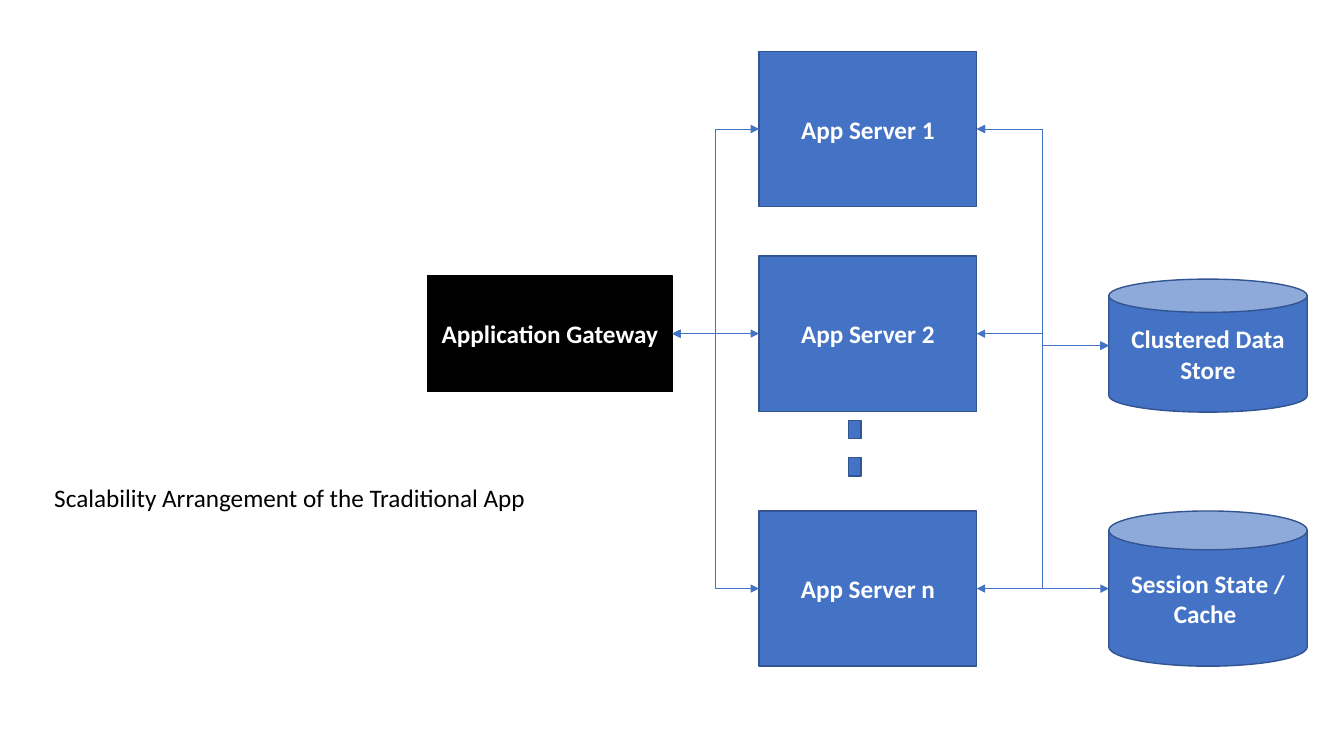
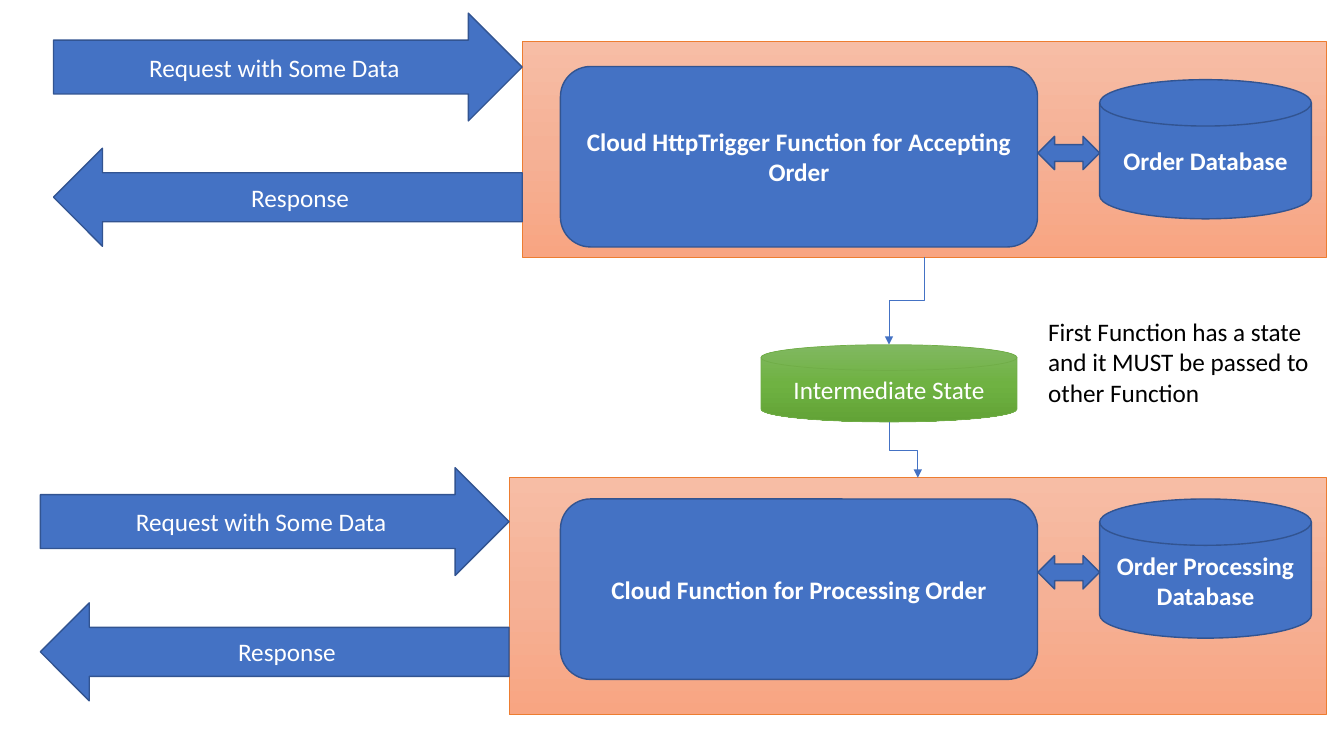
from copy import deepcopy
from dataclasses import dataclass
from itertools import product
from typing import Any

from lxml import etree
from pptx import Presentation
from pptx.dml.color import RGBColor
from pptx.enum.shapes import MSO_CONNECTOR, MSO_SHAPE
from pptx.enum.text import MSO_ANCHOR, PP_ALIGN
from pptx.oxml.ns import qn
from pptx.shapes.autoshape import Shape
from pptx.slide import Slide
from pptx.util import Pt

ELBOW = MSO_CONNECTOR.ELBOW
RECT = MSO_SHAPE.RECTANGLE
ROUNDED = MSO_SHAPE.ROUNDED_RECTANGLE
CAN = MSO_SHAPE.CAN
DISK = MSO_SHAPE.FLOWCHART_MAGNETIC_DISK
RIGHT_ARROW = MSO_SHAPE.RIGHT_ARROW
LEFT_ARROW = MSO_SHAPE.LEFT_ARROW
BOTH_ARROW = MSO_SHAPE.LEFT_RIGHT_ARROW
MIDDLE = MSO_ANCHOR.MIDDLE
TOP = MSO_ANCHOR.TOP
CENTER = PP_ALIGN.CENTER
LEFT = PP_ALIGN.LEFT

COLORS = {
    "blue": "4472C4",
    "navy": "325491",
    "black": "000000",
    "white": "FFFFFF",
    "orange": "ED7D31",
    "green": "70AD47",
}
GRADIENTS = {
    "peach": ("F7BDA5", "F5B196", "F8A582"),
    "leaf": ("81B861", "6FB242", "62A336"),
}
FONT_FORMAT = {"name": "Calibri", "size": Pt(18)}
BLANK_LAYOUT = 6

Point = tuple[float, float]


@dataclass(frozen=True)
class Box:
    left: float
    top: float
    width: float
    height: float

    @property
    def mid_left(self) -> Point:
        return self.left, self.top + self.height / 2

    @property
    def mid_right(self) -> Point:
        return self.left + self.width, self.top + self.height / 2

    @property
    def mid_top(self) -> Point:
        return self.left + self.width / 2, self.top

    @property
    def mid_bottom(self) -> Point:
        return self.left + self.width / 2, self.top + self.height

    def lengths(self) -> list[Pt]:
        return [Pt(v) for v in (self.left, self.top, self.width, self.height)]


@dataclass(frozen=True)
class Look:
    fill: str = "blue"
    outline: str = "navy"
    weight: float = 1
    bold: bool = True


@dataclass(frozen=True)
class Stage:
    panel: Box
    function: str
    function_top: float
    database: str
    database_top: float
    request_top: float


NODE = Look()
MESSAGE = Look(bold=False)
GATEWAY = Look("black", "black")
PANEL = Look("peach", "orange", 0.5)
STATE = Look("leaf", "green", 0.5, False)


def rgb(name: str) -> RGBColor:
    return RGBColor.from_string(COLORS[name])


def apply_format(target: Any, values: dict[str, Any]) -> None:
    for attribute, value in values.items():
        setattr(target, attribute, value)


def write_text(shape: Shape, text: str, color: str, bold: bool,
               align: PP_ALIGN, anchor: MSO_ANCHOR) -> None:
    frame = shape.text_frame
    apply_format(frame, {"word_wrap": True, "vertical_anchor": anchor})
    paragraph = frame.paragraphs[0]
    paragraph.alignment = align
    run = paragraph.add_run()
    run.text = text
    apply_format(run.font, FONT_FORMAT | {"bold": bold})
    run.font.color.rgb = rgb(color)


def paint(shape: Shape, fill: str) -> None:
    if fill in COLORS:
        shape.fill.solid()
        shape.fill.fore_color.rgb = rgb(fill)
        return
    shape.fill.gradient()
    shape.fill.gradient_angle = 270
    stop_list = next(shape._element.iter(qn("a:gsLst")))
    stop_list.insert(1, deepcopy(stop_list[0]))
    shades = GRADIENTS[fill]
    for stop, shade, position in zip(shape.fill.gradient_stops, shades, (0, 0.5, 1)):
        stop.position = position
        stop.color.rgb = RGBColor.from_string(shade)


def add_node(slide: Slide, kind: MSO_SHAPE, box: Box, text: str = "",
             look: Look = NODE) -> None:
    shape = slide.shapes.add_shape(kind, *box.lengths())
    shape.shadow.inherit = False
    paint(shape, look.fill)
    shape.line.color.rgb = rgb(look.outline)
    shape.line.width = Pt(look.weight)
    if text:
        write_text(shape, text, "white", look.bold, CENTER, MIDDLE)


def add_note(slide: Slide, box: Box, text: str) -> None:
    note = slide.shapes.add_textbox(*box.lengths())
    write_text(note, text, "black", False, LEFT, TOP)


def add_link(slide: Slide, start: Point, end: Point,
             arrowheads: tuple[str, ...], rotation: int = 0) -> None:
    link = slide.shapes.add_connector(ELBOW, *[Pt(v) for v in (*start, *end)])
    link.rotation = rotation
    link.line.color.rgb = rgb("blue")
    link.line.width = Pt(0.5)
    outline = link.line._get_or_add_ln()
    for arrowhead in arrowheads:
        etree.SubElement(outline, qn(arrowhead)).set("type", "triangle")
    etree.SubElement(link._element.spPr, qn("a:effectLst"))


def add_exchange(slide: Slide, start: Point, end: Point) -> None:
    add_link(slide, start, end, ("a:headEnd", "a:tailEnd"))


def add_handover(slide: Slide, start: Point, end: Point) -> None:
    center_x, center_y = (start[0] + end[0]) / 2, (start[1] + end[1]) / 2
    turn = 1 if start[0] > end[0] else -1
    reach = turn * (start[1] - center_y)
    offset = -turn * (start[0] - center_x)
    add_link(slide, (center_x + reach, center_y + offset),
             (center_x - reach, center_y - offset),
             ("a:tailEnd",), 90 if turn == 1 else 270)


def build_scaling(slide: Slide) -> None:
    servers = {
        f"App Server {number}": Box(542.2, top, 155.5, 110.9)
        for number, top in (("1", 36.7), ("2", 182.9), ("n", 365))
    }
    stores = {
        "Clustered Data Store": Box(792, 199.4, 141.8, 95),
        "Session State / Cache ": Box(792, 365, 141.8, 110.9),
    }
    gateway = Box(305.3, 197, 175, 82.8)
    for kind, nodes in ((RECT, servers), (CAN, stores)):
        for label, box in nodes.items():
            add_node(slide, kind, box, label)
    for dot in range(2):
        add_node(slide, RECT, Box(606.2, 300.2 + dot * 26.7, 8.8, 13))
    add_node(slide, RECT, gateway, "Application Gateway", GATEWAY)

    data_store, session_store = stores.values()
    for server in servers.values():
        add_exchange(slide, gateway.mid_right, server.mid_left)
        add_exchange(slide, server.mid_right, data_store.mid_left)
    first_server = next(iter(servers.values()))
    add_exchange(slide, first_server.mid_right, session_store.mid_left)
    add_note(slide, Box(31.7, 340.6, 396, 29.1),
             "Scalability Arrangement of the Traditional App")


def add_stage(slide: Slide, stage: Stage) -> None:
    message_left = stage.panel.left - 334.8
    add_node(slide, RECT, stage.panel, look=PANEL)
    add_node(slide, ROUNDED, Box(400.3, stage.function_top, 340.8, 128.9),
             stage.function)
    add_node(slide, DISK, Box(785.5, stage.database_top, 151.2, 99.4),
             stage.database)
    add_node(slide, BOTH_ARROW, Box(741.4, stage.database_top + 40.5, 44.1, 23.8))
    add_node(slide, RIGHT_ARROW, Box(message_left, stage.request_top, 334.8, 77),
             "Request with Some Data", MESSAGE)
    add_node(slide, LEFT_ARROW, Box(message_left, stage.request_top + 96.5, 334.8, 70),
             "Response", MESSAGE)


def build_functions(slide: Slide) -> None:
    accepting = Stage(Box(373, 29.5, 574.5, 154.1),
                      "Cloud HttpTrigger Function for Accepting Order", 47.5,
                      "Order Database", 56.9, 9.4)
    processing = Stage(Box(363.6, 341.3, 583.9, 169.2),
                       "Cloud Function for Processing Order", 356.4,
                       "Order Processing Database", 356.4, 334.1)
    state = Box(543.6, 246.2, 182.9, 55.2)
    for stage in (processing, accepting):
        add_stage(slide, stage)
    add_handover(slide, accepting.panel.mid_bottom, state.mid_top)
    add_node(slide, DISK, state, "Intermediate State", STATE)
    add_handover(slide, state.mid_bottom, processing.panel.mid_top)
    add_note(slide, Box(741.6, 222.5, 206.6, 72.7),
             "First Function has a state and it MUST be passed to other Function")


def main() -> None:
    deck = Presentation()
    apply_format(deck, {"slide_width": Pt(960), "slide_height": Pt(540)})
    for build in (build_scaling, build_functions):
        build(deck.slides.add_slide(deck.slide_layouts[BLANK_LAYOUT]))
    deck.save("out.pptx")


main()
